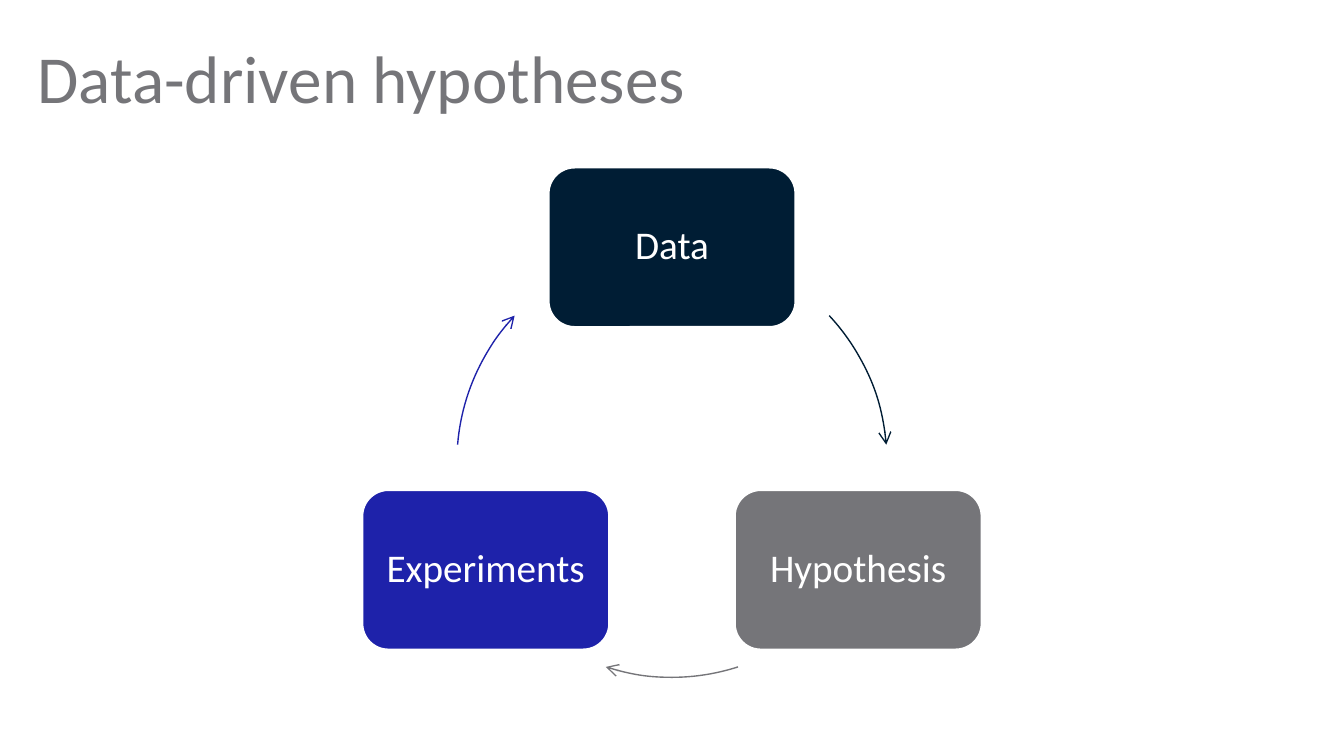
import math

import pptx
import pptx.dml.color
import pptx.enum.shapes
import pptx.enum.text
import pptx.oxml.ns
import pptx.util
from lxml import etree
from pptx.util import Inches

RGBColor = pptx.dml.color.RGBColor
Shapes = pptx.enum.shapes.MSO_SHAPE
Align = pptx.enum.text.PP_ALIGN
Anchor = pptx.enum.text.MSO_ANCHOR

NAVY = RGBColor(0x00, 0x1D, 0x34)
GREY = RGBColor(0x75, 0x75, 0x79)
BLUE = RGBColor(0x1E, 0x22, 0xAA)
WHITE = RGBColor(0xFF, 0xFF, 0xFF)
FONT = "Calibri"

# Label, colour, start and end angle of the arrow that leaves the step
STEPS = [
    ("Data", NAVY, 317, 355.3),
    ("Hypothesis", GREY, 72.1, 107.9),
    ("Experiments", BLUE, 184.7, 223),
]
NODE_WIDTH, NODE_HEIGHT = 1.85, 1.2


def write_text(shape, text, size, color, alignment, inset):
    frame = shape.text_frame
    frame.text = text
    frame.word_wrap = True
    frame.auto_size = pptx.enum.text.MSO_AUTO_SIZE.NONE
    frame.vertical_anchor = Anchor.MIDDLE
    frame.margin_left = frame.margin_right = Inches(inset)
    frame.margin_top = frame.margin_bottom = Inches(inset)
    paragraph = frame.paragraphs[0]
    paragraph.alignment = alignment
    paragraph.line_spacing = 0.9
    paragraph.font.name = FONT
    paragraph.font.size = pptx.util.Pt(size)
    paragraph.font.color.rgb = color


def add_title(slide, left, top, width, height):
    title = slide.shapes.title
    title.left, title.top = Inches(left), Inches(top)
    title.width, title.height = Inches(width), Inches(height)
    write_text(title, "Data-driven hypotheses", 36, GREY, Align.LEFT, 0)


def add_node(slide, center_x, center_y, label, color):
    node = slide.shapes.add_shape(
        Shapes.ROUNDED_RECTANGLE,
        Inches(center_x - NODE_WIDTH / 2), Inches(center_y - NODE_HEIGHT / 2),
        Inches(NODE_WIDTH), Inches(NODE_HEIGHT))
    node.shadow.inherit = False
    node.fill.solid()
    node.fill.fore_color.rgb = color
    node.line.color.rgb = WHITE
    node.line.width = pptx.util.Pt(2)
    write_text(node, label, 21, WHITE, Align.CENTER, 0.09)


def add_arc_arrow(slide, left, top, size, start, end, color):
    arc = slide.shapes.add_shape(
        Shapes.ARC, Inches(left), Inches(top), Inches(size), Inches(size))
    # Arc angles are stored in 1/60000 degree, adjustments in 1/100000
    arc.adjustments[0] = start * 0.6
    arc.adjustments[1] = end * 0.6
    arc.shadow.inherit = False
    arc.fill.background()
    arc.line.color.rgb = color
    arc.line.width = pptx.util.Pt(0.75)
    line = arc.element.spPr.find(pptx.oxml.ns.qn("a:ln"))
    etree.SubElement(line, pptx.oxml.ns.qn("a:tailEnd"), type="arrow")


def add_cycle(slide, left, top, size):
    """Steps spread evenly round the circle inscribed in the given square."""
    radius = size / 2
    for index, (label, color, start, end) in enumerate(STEPS):
        angle = math.radians(360 / len(STEPS) * index - 90)
        add_node(slide, left + radius + radius * math.cos(angle),
                 top + radius + radius * math.sin(angle), label, color)
        add_arc_arrow(slide, left, top, size, start, end, color)


def main():
    presentation = pptx.Presentation()
    # Widescreen, 16:9
    presentation.slide_width = Inches(10)
    presentation.slide_height = Inches(10 * 9 / 16)
    title_only = presentation.slide_layouts[5]
    slide = presentation.slides.add_slide(title_only)
    add_title(slide, 0.28, 0.26, 9.45, 0.7)
    add_cycle(slide, 3.4, 1.84, 3.2)
    presentation.save("out.pptx")


if __name__ == "__main__":
    main()
